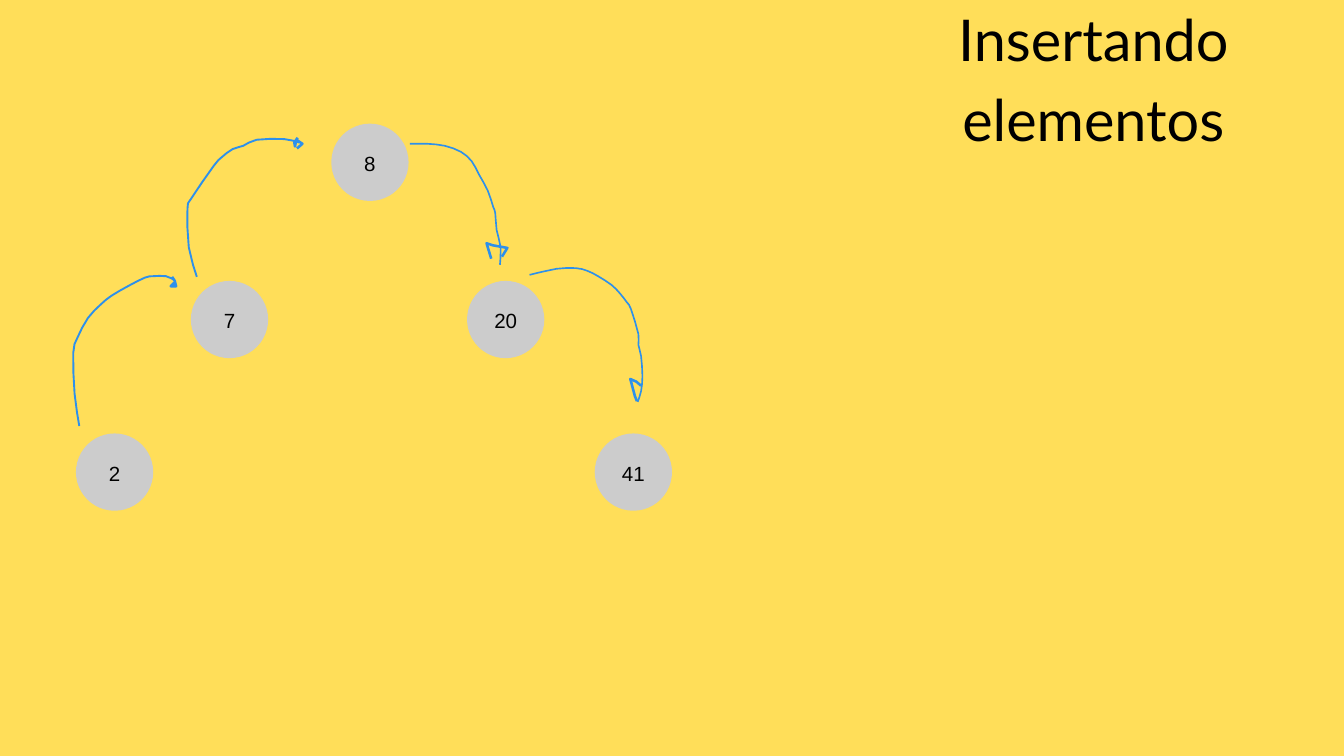
from pptx import Presentation
from pptx.dml.color import RGBColor
from pptx.enum.shapes import MSO_SHAPE
from pptx.enum.text import MSO_ANCHOR, PP_ALIGN
from pptx.util import Inches, Pt

OVAL = MSO_SHAPE.OVAL
MIDDLE = MSO_ANCHOR.MIDDLE
CENTER = PP_ALIGN.CENTER

YELLOW = RGBColor(0xFF, 0xDE, 0x59)
GRAY = RGBColor(0xCC, 0xCC, 0xCC)
BLUE = RGBColor(0x2D, 0x90, 0xEB)
BLACK = RGBColor(0, 0, 0)

NODE_SIZE = 1.15
NODES = [("2", 1.13, 6.45), ("7", 2.84, 4.18), ("8", 4.93, 1.84),
         ("41", 8.85, 6.45), ("20", 6.95, 4.18)]

SEVEN_TO_EIGHT = [
    (2.93, 4.12), (2.81, 3.68), (2.79, 3.11), (2.85, 2.95), (3.18, 2.47), (3.3, 2.34),
    (3.46, 2.22), (3.62, 2.17), (3.82, 2.08), (4.23, 2.07), (4.45, 2.12)]
HEAD_AT_EIGHT = [
    (4.43, 2.05), (4.38, 2.12), (4.39, 2.18), (4.41, 2.08), (4.5, 2.14), (4.42, 2.21)]
TWO_TO_SEVEN = [
    (1.18, 6.34), (1.11, 5.86), (1.09, 5.25), (1.15, 5.03), (1.31, 4.73), (1.5, 4.53),
    (1.66, 4.4), (1.92, 4.25), (2.16, 4.13), (2.28, 4.11), (2.47, 4.11), (2.6, 4.17)]
HEAD_AT_SEVEN = [
    (2.56, 4.12), (2.6, 4.18), (2.62, 4.26), (2.54, 4.26), (2.59, 4.21)]
EIGHT_TO_TWENTY = [
    (6.1, 2.14), (6.36, 2.14), (6.62, 2.17), (6.86, 2.26), (7.02, 2.4), (7.13, 2.6),
    (7.26, 2.84), (7.34, 3.08), (7.37, 3.17), (7.39, 3.42), (7.45, 3.68), (7.44, 3.94)]
HEAD_AT_TWENTY = [
    (7.31, 3.85), (7.24, 3.62), (7.33, 3.65), (7.55, 3.69), (7.47, 3.82)]
TWENTY_TO_FORTY_ONE = [
    (7.88, 4.09), (8.28, 4), (8.57, 3.99), (8.74, 4.03), (8.9, 4.11), (9.1, 4.24),
    (9.22, 4.36), (9.33, 4.5), (9.39, 4.6), (9.5, 4.97), (9.5, 5.13), (9.54, 5.3),
    (9.56, 5.6), (9.54, 5.82), (9.49, 5.98)]
HEAD_AT_FORTY_ONE = [
    (9.48, 5.97), (9.45, 5.9), (9.38, 5.64), (9.47, 5.68), (9.54, 5.74)]

SHAFTS = [(SEVEN_TO_EIGHT, 2), (TWO_TO_SEVEN, 2),
          (EIGHT_TO_TWENTY, 1.75), (TWENTY_TO_FORTY_ONE, 1.75)]
HEADS = [HEAD_AT_EIGHT, HEAD_AT_SEVEN, HEAD_AT_TWENTY, HEAD_AT_FORTY_ONE]
HEAD_WIDTH = 2.75


def smooth_curve(points):
    curve = [points[0]]
    padded = [points[0], *points, points[-1]]
    for before, start, end, after in zip(padded, padded[1:], padded[2:], padded[3:]):
        middle = tuple(
            (9 * (start[axis] + end[axis]) - before[axis] - after[axis]) / 16
            for axis in (0, 1))
        curve += [middle, end]
    return curve


def write_text(shape, text, font_name, size, spacing, margin):
    frame = shape.text_frame
    frame.word_wrap = True
    frame.margin_left = frame.margin_right = margin
    frame.margin_top = frame.margin_bottom = margin
    paragraph = frame.paragraphs[0]
    paragraph.text = text
    paragraph.alignment = CENTER
    paragraph.line_spacing = Pt(spacing)
    paragraph.font.name = font_name
    paragraph.font.size = Pt(size)
    paragraph.font.color.rgb = BLACK


def add_node(slide, label, left, top):
    node = slide.shapes.add_shape(OVAL, left, top, Inches(NODE_SIZE), Inches(NODE_SIZE))
    node.shadow.inherit = False
    node.fill.solid()
    node.fill.fore_color.rgb = GRAY
    node.line.fill.background()
    write_text(node, label, "Arial", 22, 28.6, Inches(0.06))
    node.text_frame.vertical_anchor = MIDDLE


def add_stroke(slide, points, width, left, top):
    vertices = [(left + Inches(x), top + Inches(y)) for x, y in points]
    builder = slide.shapes.build_freeform(*vertices[0])
    builder.add_line_segments(vertices[1:], close=False)
    stroke = builder.convert_to_shape()
    stroke.shadow.inherit = False
    stroke.fill.background()
    stroke.line.color.rgb = BLUE
    stroke.line.width = Pt(width)


def add_tree(slide, left, top):
    for label, x, y in NODES:
        add_node(slide, label, left + Inches(x), top + Inches(y))
    for points, width in SHAFTS:
        add_stroke(slide, smooth_curve(points), width, left, top)
    for points in HEADS:
        add_stroke(slide, points, HEAD_WIDTH, left, top)


def add_title(slide, left, top, width, height):
    title = slide.shapes.add_textbox(left, top, width, height)
    write_text(title, "Insertando elementos", "Lato", 61.7, 86.4, 0)


def main():
    presentation = Presentation()
    presentation.slide_width = Inches(20)
    presentation.slide_height = Inches(11.25)
    slide = presentation.slides.add_slide(presentation.slide_layouts[6])
    slide.background.fill.solid()
    slide.background.fill.fore_color.rgb = YELLOW
    add_tree(slide, Inches(0), Inches(0))
    add_title(slide, Inches(12.54), Inches(-0.12), Inches(7.46), Inches(2.34))
    presentation.save("out.pptx")


if __name__ == "__main__":
    main()
